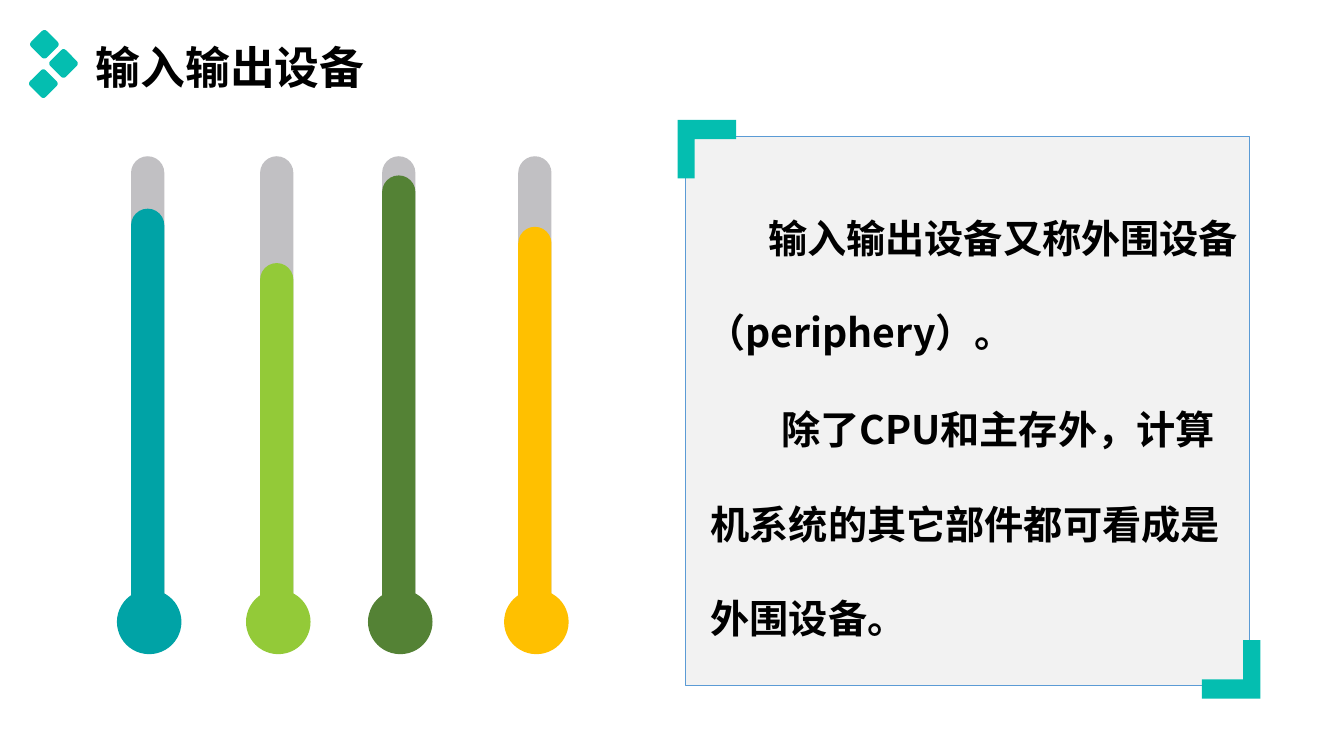
"""Build a slide on input and output devices with four gauges and a framed text."""
from dataclasses import dataclass

from lxml import etree
from pptx import Presentation
from pptx import util as u
from pptx.dml.color import RGBColor
from pptx.enum import shapes, text
from pptx.oxml import ns

FONT = "Noto Sans CJK SC"
TEAL = "04BEB0"
TUBE_TOP, TUBE_BOTTOM, TUBE_WIDTH = 1.55, 6.26, 0.33
BULB_TOP, BULB_SIZE = 5.85, 0.64
DIAMOND_SIDE = 0.22


@dataclass(frozen=True)
class Gauge:
    left: float
    level_top: float
    color: str


@dataclass(frozen=True)
class Bracket:
    x: float
    y: float
    direction: int


@dataclass(frozen=True)
class TextBlock:
    area: tuple[float, float, float, float]
    words: str
    size: int
    spacing: float = 1.0
    indent: float = 0.0
    align: text.PP_ALIGN = text.PP_ALIGN.LEFT


GAUGES = [
    Gauge(1.3, 2.07, "00A3A6"),
    Gauge(2.58, 2.61, "93CA38"),
    Gauge(3.79, 1.74, "548235"),
    Gauge(5.14, 2.25, "FFC000"),
]
DIAMOND_CENTERS = [(0.44, 0.44), (0.63, 0.63), (0.43, 0.83)]
BRACKETS = [Bracket(6.72, 1.19, 1), Bracket(12.5, 6.93, -1)]
TEXTS = [
    TextBlock((0.85, 0.34, 6.53, 0.64), "输入输出设备", 32,
              align=text.PP_ALIGN.JUSTIFY),
    TextBlock((6.91, 1.61, 5.55, 2.43),
              "输入输出设备又称外围设备（periphery）。", 28, 2.0, 0.61),
    TextBlock((6.95, 3.51, 5.29, 3.2),
              "除了CPU和主存外，计算机系统的其它部件都可看成是外围设备。", 28, 2.0, 0.7),
]


def rgb(value: str) -> RGBColor:
    """Turn a hex string into a colour."""
    return RGBColor.from_string(value)


def paint(shape, fill: str, line: str | None = None) -> None:
    """Give a shape a flat fill and an optional thin outline."""
    shape.shadow.inherit = False
    shape.fill.solid()
    shape.fill.fore_color.rgb = rgb(fill)
    if line is None:
        shape.line.fill.background()
    else:
        shape.line.color.rgb = rgb(line)
        shape.line.width = u.Pt(0.75)


def add_preset(page, kind, area: tuple[float, float, float, float],
               fill: str, line: str | None = None):
    """Draw a preset shape and return it."""
    shape = page.shapes.add_shape(kind, *map(u.Inches, area))
    paint(shape, fill, line)
    return shape


def add_diamond(page, center: tuple[float, float]) -> None:
    """Draw a rounded square standing on its corner."""
    left, top = (value - DIAMOND_SIDE / 2 for value in center)
    diamond = add_preset(page, shapes.MSO_SHAPE.ROUNDED_RECTANGLE,
                         (left, top, DIAMOND_SIDE, DIAMOND_SIDE), TEAL)
    diamond.adjustments[0] = 0.15
    diamond.rotation = 45


def add_gauge(page, gauge: Gauge) -> None:
    """Draw a grey tube, its filled level and its bulb."""
    for top, color in ((TUBE_TOP, "C1C0C3"), (gauge.level_top, gauge.color)):
        tube = add_preset(page, shapes.MSO_SHAPE.ROUNDED_RECTANGLE,
                          (gauge.left, top, TUBE_WIDTH, TUBE_BOTTOM - top), color)
        tube.adjustments[0] = 0.5
    add_preset(page, shapes.MSO_SHAPE.OVAL,
               (gauge.left - 0.14, BULB_TOP, BULB_SIZE, BULB_SIZE), gauge.color)


def add_bracket(page, bracket: Bracket) -> None:
    """Draw an L-shaped corner mark from its outer corner."""
    outline = [(0, 0), (0.58, 0), (0.58, 0.19), (0.17, 0.19), (0.17, 0.58), (0, 0.58)]
    points = [(u.Inches(bracket.x + bracket.direction * dx),
               u.Inches(bracket.y + bracket.direction * dy)) for dx, dy in outline]
    builder = page.shapes.build_freeform(*points[0])
    builder.add_line_segments(points[1:], close=True)
    paint(builder.convert_to_shape(), TEAL)


def add_text(page, block: TextBlock) -> None:
    """Write a bold black paragraph in a text box."""
    box = page.shapes.add_textbox(*map(u.Inches, block.area))
    box.text_frame.word_wrap = True
    para = box.text_frame.paragraphs[0]
    para.alignment = block.align
    para.line_spacing = block.spacing
    para._p.get_or_add_pPr().set("indent", str(u.Inches(block.indent)))
    span = para.add_run()
    span.text = block.words
    formats = {"name": FONT, "size": u.Pt(block.size), "bold": True}
    for name, value in formats.items():
        setattr(span.font, name, value)
    span.font.color.rgb = rgb("000000")
    east_asian = etree.SubElement(span._r.get_or_add_rPr(), ns.qn("a:ea"))
    east_asian.set("typeface", FONT)


def main() -> None:
    """Assemble and save the deck."""
    deck = Presentation()
    deck.slide_width, deck.slide_height = u.Inches(13.33), u.Inches(7.5)
    page = deck.slides.add_slide(deck.slide_layouts[6])
    for center in DIAMOND_CENTERS:
        add_diamond(page, center)
    for gauge in GAUGES:
        add_gauge(page, gauge)
    add_preset(page, shapes.MSO_SHAPE.RECTANGLE, (6.8, 1.35, 5.59, 5.45),
               "F2F2F2", "5B9BD5")
    for bracket in BRACKETS:
        add_bracket(page, bracket)
    for block in TEXTS:
        add_text(page, block)
    deck.save("out.pptx")


if __name__ == "__main__":
    main()
